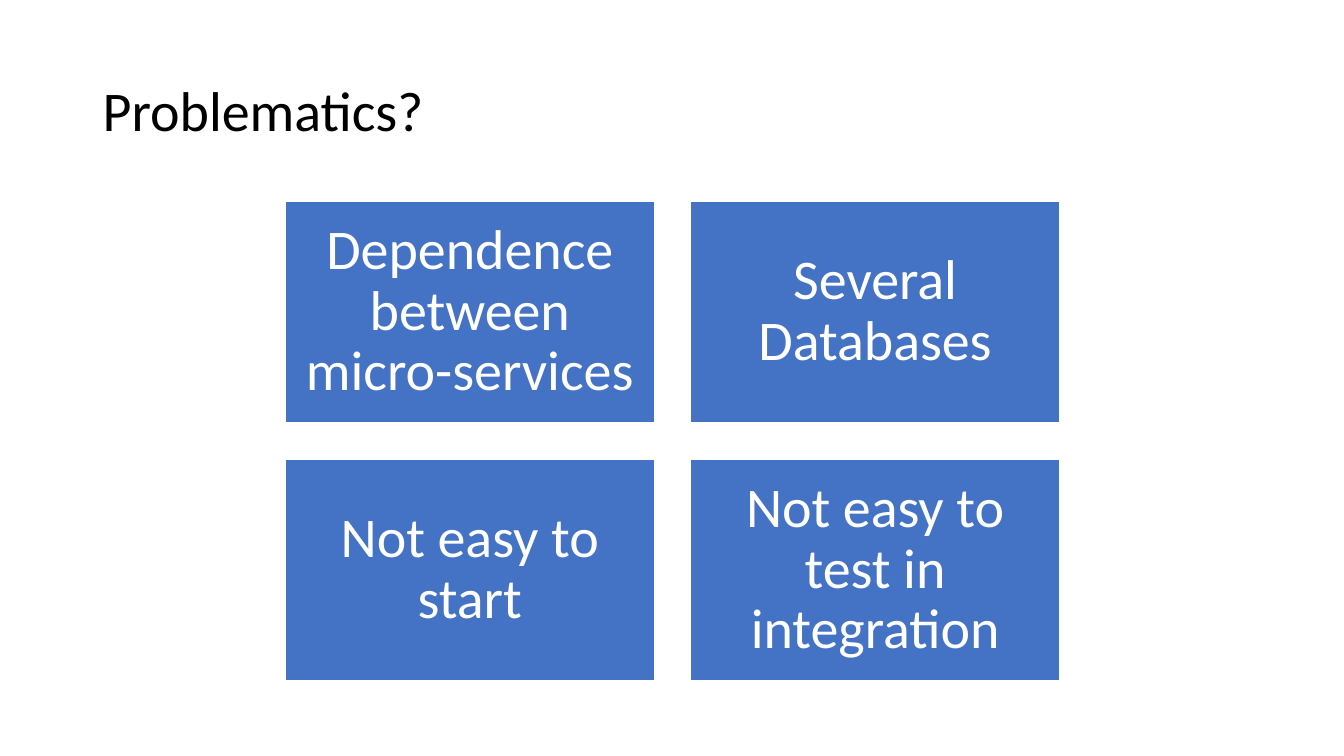
from pptx import Presentation
from pptx.dml.color import RGBColor
from pptx.enum.shapes import MSO_SHAPE as Shape
from pptx.enum.text import MSO_ANCHOR as Anchor, PP_ALIGN as Align
from pptx.util import Inches, Pt

BLACK = RGBColor(0x00, 0x00, 0x00)
WHITE = RGBColor(0xFF, 0xFF, 0xFF)
BLUE = RGBColor(0x44, 0x72, 0xC4)

GRID_LEFT, GRID_TOP = 2.83, 2
CARD_WIDTH, CARD_HEIGHT = 3.66, 2.19
COLUMN_STEP, ROW_STEP = 4.02, 2.56
COLUMNS = 2
CARD_INSET = 0.17

PROBLEMS = [
    "Dependence between micro-services",
    "Several Databases",
    "Not easy to start",
    "Not easy to test in integration",
]


def apply_format(target, values):
    for name, value in values.items():
        setattr(target, name, value)


def write_text(shape, text, color, alignment, inset=None):
    frame = shape.text_frame
    frame.text = text
    apply_format(frame, {"word_wrap": True, "vertical_anchor": Anchor.MIDDLE})
    if inset is not None:
        sides = ("left", "top", "right", "bottom")
        apply_format(frame, {f"margin_{side}": Inches(inset) for side in sides})
    paragraph = frame.paragraphs[0]
    apply_format(paragraph, {"alignment": alignment, "line_spacing": 0.9})
    apply_format(paragraph.font, {"name": "Calibri", "size": Pt(40)})
    paragraph.font.color.rgb = color


def add_title(slide, text):
    box = slide.shapes.add_textbox(
        Inches(0.92), Inches(0.4), Inches(11.5), Inches(1.45))
    write_text(box, text, BLACK, Align.LEFT)


def add_card(group, column, row, text):
    card = group.shapes.add_shape(
        Shape.RECTANGLE,
        Inches(GRID_LEFT + column * COLUMN_STEP),
        Inches(GRID_TOP + row * ROW_STEP),
        Inches(CARD_WIDTH), Inches(CARD_HEIGHT))
    card.shadow.inherit = False
    card.fill.solid()
    card.fill.fore_color.rgb = BLUE
    card.line.color.rgb = WHITE
    card.line.width = Pt(1)
    write_text(card, text, WHITE, Align.CENTER, CARD_INSET)


def main():
    presentation = Presentation()
    apply_format(presentation, {
        "slide_width": Inches(13.33), "slide_height": Inches(7.5)})
    slide = presentation.slides.add_slide(presentation.slide_layouts[6])
    add_title(slide, "Problematics?")
    cards = slide.shapes.add_group_shape()
    for index, problem in enumerate(PROBLEMS):
        row, column = divmod(index, COLUMNS)
        add_card(cards, column, row, problem)
    presentation.save("out.pptx")


if __name__ == "__main__":
    main()
